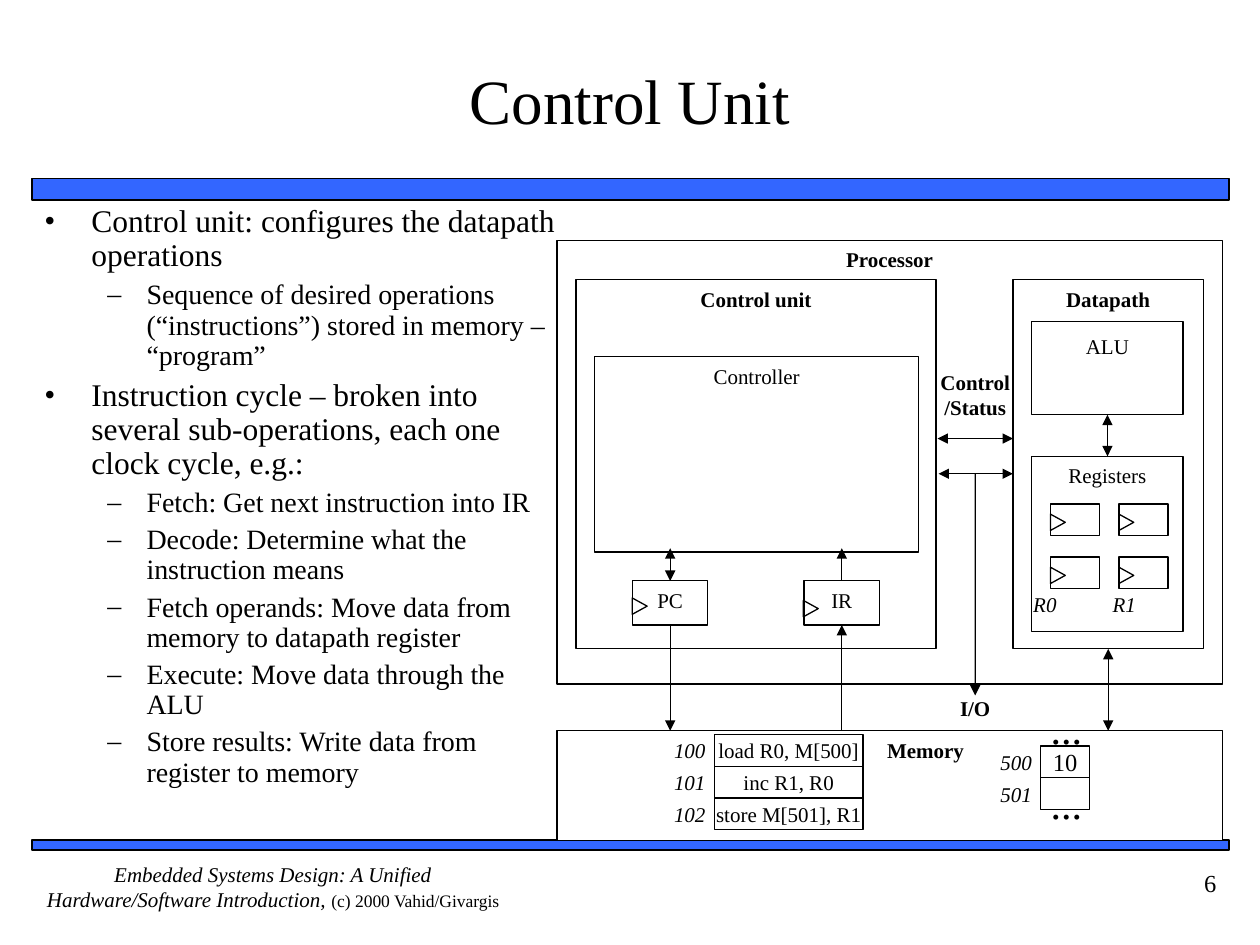
from lxml import etree
from pptx import Presentation
from pptx.dml.color import RGBColor
from pptx.enum import shapes, text
from pptx.oxml.ns import qn
from pptx.util import Cm, Pt

FONT = "Times New Roman"
BLACK, WHITE, BLUE = "000000", "FFFFFF", "3366FF"
rgb = RGBColor.from_string
RECT = shapes.MSO_SHAPE.RECTANGLE
TRIANGLE = shapes.MSO_SHAPE.ISOSCELES_TRIANGLE
TOP, MIDDLE = text.MSO_ANCHOR.TOP, text.MSO_ANCHOR.MIDDLE
CENTER, LEFT, RIGHT = text.PP_ALIGN.CENTER, text.PP_ALIGN.LEFT, text.PP_ALIGN.RIGHT
PADDED, TIGHT = (0.25, 0.13, 0.25, 0.13), (0, 0, 0, 0)

prs = Presentation()
prs.slide_width, prs.slide_height = Cm(25.4), Cm(19.05)
s = prs.slides.add_slide(prs.slide_layouts[1])


def box(x, y, w, h, words="", kind=RECT, fill=None, line=0.75, size=12, bold=False,
        italic=False, align=CENTER, anchor=TOP, margins=PADDED, wrap=True):
    """Add a preset shape, or a plain text box when kind is None; sizes in cm."""
    at = Cm(x), Cm(y), Cm(w), Cm(h)
    if kind is None:
        sp = s.shapes.add_textbox(*at)
    else:
        sp = s.shapes.add_shape(kind, *at)
        sp.shadow.inherit = False
        sp.line.color.rgb, sp.line.width = rgb(BLACK), Pt(line)
        if fill:
            sp.fill.solid()
            sp.fill.fore_color.rgb = rgb(fill)
        else:
            sp.fill.background()
    if words:
        tf = sp.text_frame
        tf.text = words
        tf.word_wrap, tf.vertical_anchor = wrap, anchor
        tf.margin_left, tf.margin_top, tf.margin_right, tf.margin_bottom = map(Cm, margins)
        for p in tf.paragraphs:
            p.alignment = align
            for r in p.runs:
                r.font.name, r.font.size = FONT, Pt(size)
                r.font.bold, r.font.italic = bold, italic
                r.font.color.rgb = rgb(BLACK)
    return sp


def arrow(x1, y1, x2, y2, both=False, begin=None, end=None):
    """Add an arrow in cm; begin and end are (shape, side) pairs to join."""
    c = s.shapes.add_connector(shapes.MSO_CONNECTOR.STRAIGHT, Cm(x1), Cm(y1), Cm(x2), Cm(y2))
    c.line.color.rgb, c.line.width = rgb(BLACK), Pt(0.75)
    ln = c.line._get_or_add_ln()
    for tag in ["a:headEnd", "a:tailEnd"] if both else ["a:tailEnd"]:
        etree.SubElement(ln, qn(tag), type="triangle")
    etree.SubElement(c._element.spPr, qn("a:effectLst"))
    if begin:
        c.begin_connect(*begin)
    if end:
        c.end_connect(*end)


# Slide frame
box(0.64, 3.6, 24.13, 0.43, fill=BLUE, line=1)
box(0.64, 16.94, 24.13, 0.2, fill=BLUE, line=1)
footer = box(0.64, 17.36, 9.73, 1.27,
             "Embedded Systems Design: A Unified Hardware/Software Introduction, ",
             kind=None, italic=True, margins=TIGHT)
r = footer.text_frame.paragraphs[0].add_run()
r.text = "(c) 2000 Vahid/Givargis"
r.font.name, r.font.size, r.font.color.rgb = FONT, Pt(10), rgb(BLACK)
box(22.23, 17.36, 2.54, 1.27, "6", kind=None, size=14, align=RIGHT)

# Title
title = s.shapes.title
title.left, title.top, title.width, title.height = Cm(1.06), Cm(0.42), Cm(23.28), Cm(3.18)
tf = title.text_frame
tf.text = "Control Unit"
tf.vertical_anchor, tf.auto_size = MIDDLE, text.MSO_AUTO_SIZE.NONE
p = tf.paragraphs[0]
p.alignment = CENTER
r = p.runs[0]
r.font.name, r.font.size, r.font.color.rgb = FONT, Pt(36), rgb(BLACK)

# Bullet list
bullets = [
    (0, "Control unit: configures the datapath operations"),
    (1, "Sequence of desired operations (“instructions”) stored in memory – “program”"),
    (0, "Instruction cycle – broken into several sub-operations, each one clock cycle, e.g.:"),
    (1, "Fetch: Get next instruction into IR"),
    (1, "Decode: Determine what the instruction means"),
    (1, "Fetch operands: Move data from memory to datapath register"),
    (1, "Execute: Move data through the ALU"),
    (1, "Store results: Write data from register to memory"),
]
# mark, left indent, hanging indent, font size, space before
levels = [("•", 0.95, -0.95, 18, 4.5), ("–", 2.06, -0.79, 16, 4)]
body = s.placeholders[1]
body.left, body.top, body.width, body.height = Cm(0.64), Cm(4.02), Cm(11), Cm(12.7)
tf = body.text_frame
tf.text = "\n".join(words for _, words in bullets)
tf.vertical_anchor, tf.auto_size = TOP, text.MSO_AUTO_SIZE.NONE
for i, (p, (level, _)) in enumerate(zip(tf.paragraphs, bullets)):
    mark, left, hang, size, before = levels[level]
    p.level = level
    pPr = p._p.get_or_add_pPr()
    pPr.set("marL", str(Cm(left)))
    pPr.set("indent", str(Cm(hang)))
    etree.SubElement(pPr, qn("a:buFont"), typeface=FONT)
    etree.SubElement(pPr, qn("a:buChar"), char=mark)
    p.line_spacing, p.space_before = 0.9, Pt(before if i else 0)
    r = p.runs[0]
    r.font.name, r.font.size, r.font.color.rgb = FONT, Pt(size), rgb(BLACK)

# Processor blocks
box(11.23, 4.85, 13.41, 8.94, "Processor", bold=True)
box(11.61, 5.64, 7.26, 7.44, "Control unit", bold=True)
datapath = box(20.42, 5.64, 3.84, 7.44, "Datapath", bold=True)
alu = box(20.8, 6.48, 3.05, 1.88, "ALU", fill=WHITE, margins=(0.25, 0.25, 0.25, 0.13))
registers = box(20.8, 9.2, 3.05, 3.53, "Registers", fill=WHITE)
box(11.99, 7.19, 6.53, 3.94, "Controller", fill=WHITE)
pc = box(12.75, 11.71, 1.52, 0.89, "PC", fill=WHITE)
ir = box(16.21, 11.71, 1.52, 0.89, "IR", fill=WHITE)
box(11.23, 14.73, 13.41, 2.21, "Memory", fill=WHITE, bold=True,
    margins=(1.7, 0.13, 0.25, 0.13))
io = box(19.09, 14.02, 1.14, 0.71, "I/O", kind=None, bold=True, margins=TIGHT)
box(18.9, 7.44, 1.52, 1.42, "Control\n/Status", kind=None, bold=True, margins=TIGHT)

# Register cells and clock marks
clocks = [(12.73, 12.07), (16.18, 12.12)]
for x in (21.18, 22.56):
    for y in (10.16, 11.23):
        box(x, y, 0.99, 0.64)
        clocks.append((x - 0.02, y + 0.22))
for x, y in clocks:
    box(x, y, 0.33, 0.3, kind=TRIANGLE).rotation = 90

# Signals
arrow(16.97, 11.71, 16.97, 11.05, begin=(ir, 0))
arrow(13.51, 11.71, 13.51, 11.05, both=True, begin=(pc, 0))
arrow(22.33, 8.36, 22.33, 9.2, both=True, begin=(alu, 2), end=(registers, 0))
arrow(18.9, 8.84, 20.42, 8.84, both=True)
arrow(18.92, 9.55, 20.42, 9.55, both=True)
arrow(19.66, 9.55, 19.66, 14.02, end=(io, 0))
arrow(22.34, 13.08, 22.34, 14.73, both=True, begin=(datapath, 2))
arrow(13.51, 12.6, 13.51, 14.73, begin=(pc, 2))
arrow(16.97, 14.73, 16.97, 12.6, end=(ir, 2))

# Memory contents
cell = dict(anchor=MIDDLE, margins=TIGHT, wrap=False)
label = dict(cell, kind=None, italic=True)
for i, code in enumerate(["load R0, M[500]", "inc R1, R0", "store M[501], R1"]):
    y = 14.81 + 0.64 * i
    box(14.4, y, 3, 0.64, code, **cell)
    box(13.41, y, 0.99, 0.64, str(100 + i), **label)
for i, value in enumerate(["10", ""]):
    y = 15.04 + 0.64 * i
    box(20.98, y, 0.99, 0.64, value, size=14, **cell)
    box(19.99, y, 0.99, 0.64, str(500 + i), **label)
for y in (14.17, 15.67):
    box(21.18, y, 0.64, 1.02, "...", kind=None, size=24, align=LEFT, margins=TIGHT, wrap=False)
for x, name in [(20.57, "R0"), (22.17, "R1")]:
    box(x, 11.86, 0.99, 0.64, name, **label)

prs.save("out.pptx")
